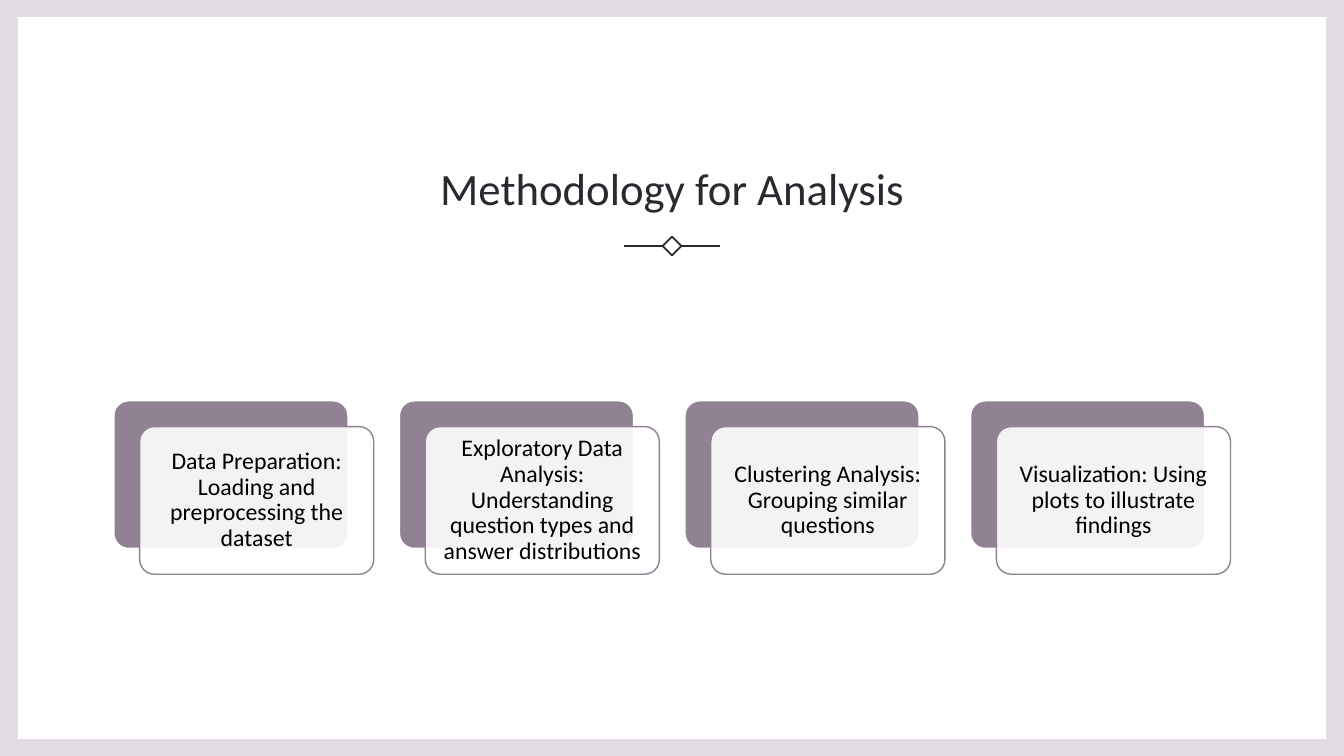
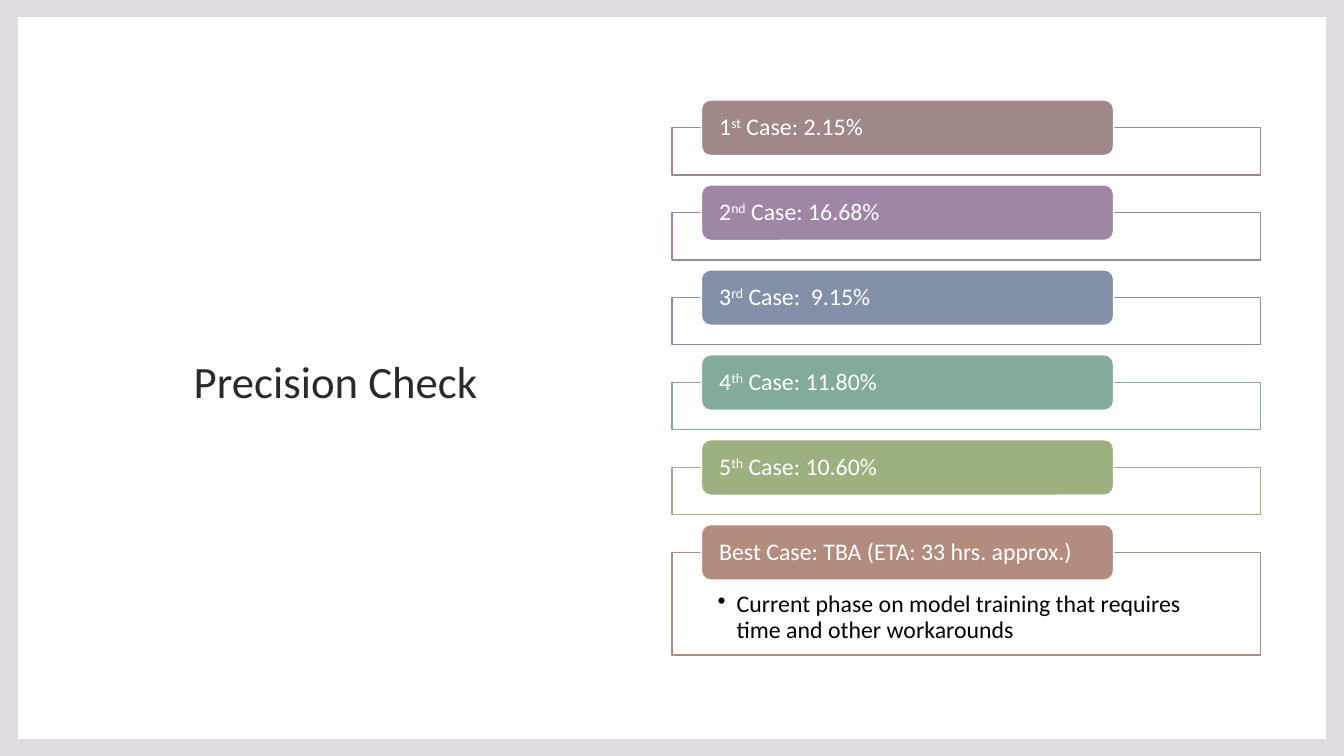
from lxml import etree
from pptx import Presentation
from pptx.dml.color import RGBColor
from pptx.enum.shapes import MSO_CONNECTOR as CONN, MSO_SHAPE as SHAPE
from pptx.enum.text import MSO_ANCHOR as ANCHOR, MSO_AUTO_SIZE as AUTO, PP_ALIGN as ALIGN
from pptx.oxml.ns import qn
from pptx.util import Cm, Pt

W, H = 33.87, 19.05
MARGIN_X, MARGIN_Y = 0.45, 0.43
FONT = "Calibri"
COLORS = {
    "frame": "E0DCE1", "white": "FFFFFF", "ink": "2C2830", "black": "000000",
    "plum": "908193", "rose": "A08889", "violet": "9F86A4", "blue": "8490A8",
    "green": "82AC99", "olive": "9DB080", "clay": "B48C7E",
}
STEPS = [
    "Data Preparation: Loading and preprocessing the dataset",
    "Exploratory Data Analysis: Understanding question types and answer distributions",
    "Clustering Analysis: Grouping similar questions",
    "Visualization: Using plots to illustrate findings",
]
# Label pieces alternate between normal and superscript text.
CASES = [
    (("1", "st", " Case: 2.15%"), "rose", None),
    (("2", "nd", " Case: 16.68%"), "violet", None),
    (("3", "rd", " Case:  9.15%"), "blue", None),
    (("4", "th", " Case: 11.80%"), "green", None),
    (("5", "th", " Case: 10.60%"), "olive", None),
    (("Best Case: TBA (ETA: 33 hrs. approx.)",), "clay",
     "Current phase on model training that requires time and other workarounds"),
]


def rgb(name):
    return RGBColor.from_string(COLORS[name])


def write(shape, pieces, *, size=17, color="black", align=ALIGN.LEFT,
          anchor=ANCHOR.MIDDLE, spacing=0.9, insets=(0.25, 0.13, 0.25, 0.13),
          bullet_indent=None):
    """Fill a shape with one paragraph; every second piece is superscript."""
    tf = shape.text_frame
    tf.word_wrap, tf.auto_size, tf.vertical_anchor = True, AUTO.NONE, anchor
    tf.margin_left, tf.margin_top, tf.margin_right, tf.margin_bottom = map(Cm, insets)
    p = tf.paragraphs[0]
    p.alignment, p.line_spacing = align, spacing
    if bullet_indent:
        pPr = p._p.get_or_add_pPr()
        pPr.set("marL", str(Cm(bullet_indent)))
        pPr.set("indent", str(-Cm(bullet_indent)))
        etree.SubElement(pPr, qn("a:buChar")).set("char", "•")
    for i, piece in enumerate(pieces):
        r = p.add_run()
        r.text = piece
        r.font.name, r.font.size = FONT, Pt(size)
        r.font.color.rgb = rgb(color)
        if i % 2:
            r._r.get_or_add_rPr().set("baseline", "30000")


def add_box(s, kind, x, y, w, h, *, fill=None, line=None, weight=1, alpha=None, radius=None):
    sp = s.shapes.add_shape(kind, Cm(x), Cm(y), Cm(w), Cm(h))
    sp.shadow.inherit = False
    if radius is not None:
        sp.adjustments[0] = radius
    if fill:
        sp.fill.solid()
        sp.fill.fore_color.rgb = rgb(fill)
        if alpha is not None:
            clr = sp._element.spPr.find(qn("a:solidFill"))[0]
            etree.SubElement(clr, qn("a:alpha")).set("val", str(alpha * 1000))
    else:
        sp.fill.background()
    if line:
        sp.line.color.rgb = rgb(line)
        sp.line.width = Pt(weight)
    else:
        sp.line.fill.background()
    return sp


def add_framed_slide(prs, title, x, y, w, h, anchor):
    s = prs.slides.add_slide(prs.slide_layouts.get_by_name("Title Only"))
    panel = add_box(s, SHAPE.RECTANGLE, MARGIN_X, MARGIN_Y,
                    W - 2 * MARGIN_X, H - 2 * MARGIN_Y, fill="white")
    ph = s.shapes.title
    panel._element.getparent().insert(2, panel._element)
    ph.left, ph.top, ph.width, ph.height = Cm(x), Cm(y), Cm(w), Cm(h)
    write(ph, (title,), size=32, color="ink", align=ALIGN.CENTER, anchor=anchor, spacing=1.1)
    return s


def add_ornament(s, cx, cy, size=0.47, reach=1.22):
    """Draw a diamond centred on (cx, cy) with a line out to each side."""
    diamond = add_box(s, SHAPE.DIAMOND, cx - size / 2, cy - size / 2, size, size,
                      line="ink", weight=1.25)
    for site, end in ((1, cx - reach), (3, cx + reach)):
        c = s.shapes.add_connector(CONN.STRAIGHT, Cm(cx), Cm(cy), Cm(end), Cm(cy))
        c.begin_connect(diamond, site)
        c.line.color.rgb = rgb("ink")
        c.line.width = Pt(1.25)
        etree.SubElement(c._element.spPr, qn("a:effectLst"))


def add_step_cards(s, x, y, w, h, shift=0.65, card_w=5.9):
    """Spread the steps over the box, each a card in front of a shifted backing."""
    pitch = (w - card_w - shift) / (len(STEPS) - 1)
    card_h = h - shift
    for i, step in enumerate(STEPS):
        left = x + i * pitch
        add_box(s, SHAPE.ROUNDED_RECTANGLE, left, y, card_w, card_h,
                fill="plum", line="white", radius=0.1)
        card = add_box(s, SHAPE.ROUNDED_RECTANGLE, left + shift, y + shift, card_w, card_h,
                       fill="white", line="plum", alpha=90, radius=0.1)
        write(card, (step,), align=ALIGN.CENTER, insets=(0.18,) * 4)


def add_case_list(s, x, y, w, pitch=2.14, bar_h=1.4, frame_h=1.19, detail_h=2.59):
    """Stack the cases, each a label bar over the top edge of its frame."""
    for i, (label, color, detail) in enumerate(CASES):
        top = y + i * pitch
        frame = add_box(s, SHAPE.RECTANGLE, x, top + bar_h / 2, w,
                        detail_h if detail else frame_h, fill="white", line=color, alpha=90)
        if detail:
            write(frame, (detail,), anchor=ANCHOR.TOP, insets=(1.15, 1, 1.15, 0.32),
                  bullet_indent=0.48)
        bar = add_box(s, SHAPE.ROUNDED_RECTANGLE, x + 0.05 * w, top, 0.7 * w, bar_h,
                      fill=color, line="white")
        write(bar, label, color="white", insets=(0.38, 0, 0.38, 0))


def build_methodology(prs):
    s = add_framed_slide(prs, "Methodology for Analysis", 2.87, 2.67, 28.14, 2.87, ANCHOR.BOTTOM)
    add_ornament(s, W / 2, 6.2)
    add_step_cards(s, 2.87, 10.1, 28.14, 4.37)


def build_precision(prs):
    s = add_framed_slide(prs, "Precision Check", 2.85, 2.85, 11.22, 13.34, ANCHOR.MIDDLE)
    add_case_list(s, W / 2, 2.52, 14.84)


def main():
    prs = Presentation()
    prs.slide_width, prs.slide_height = Cm(W), Cm(H)
    backdrop = prs.slide_master.background.fill
    backdrop.solid()
    backdrop.fore_color.rgb = rgb("frame")
    build_methodology(prs)
    build_precision(prs)
    prs.save("out.pptx")


if __name__ == "__main__":
    main()
